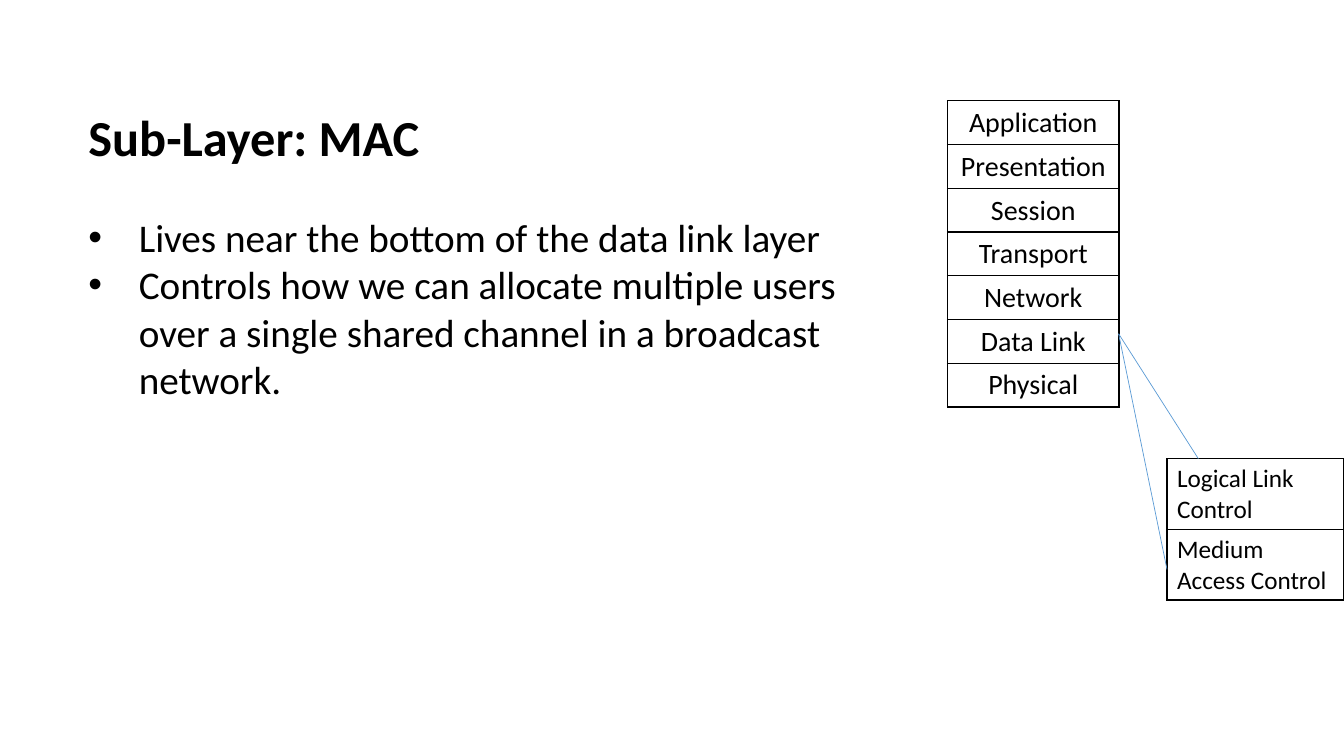
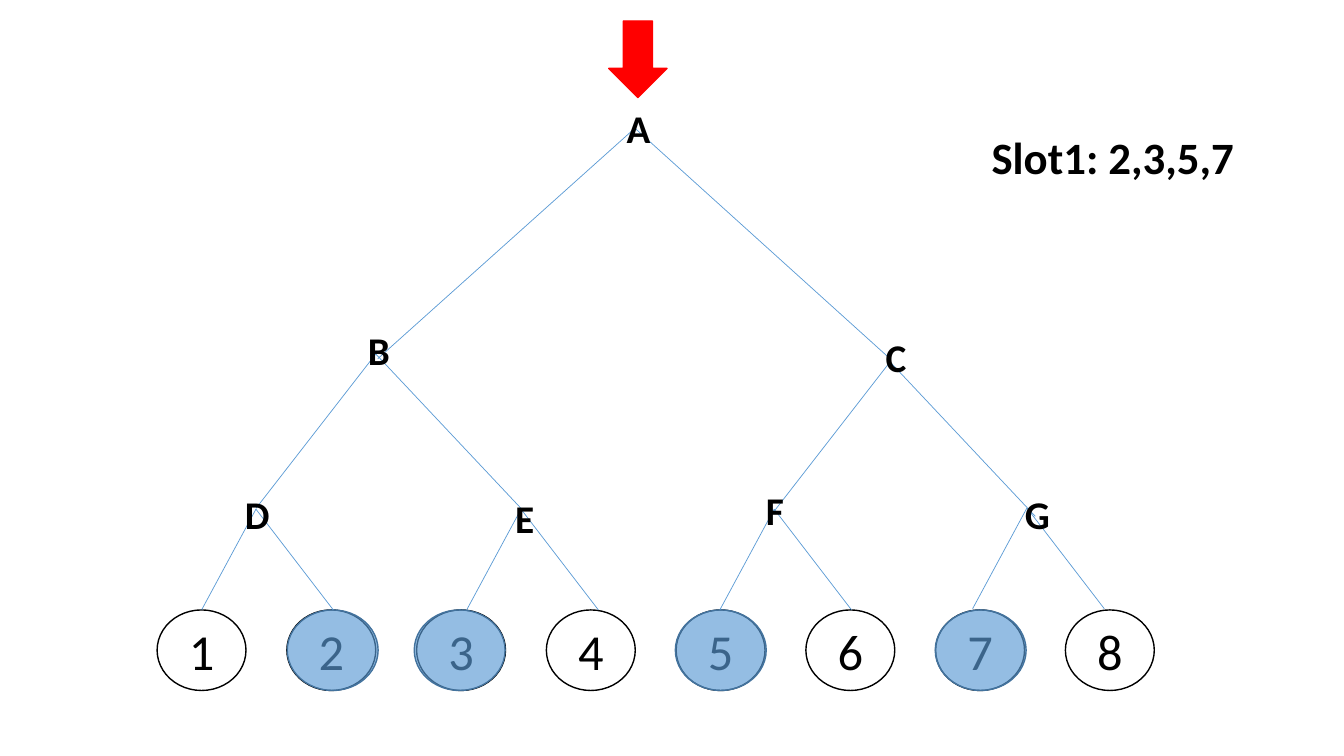
from lxml.etree import SubElement
from pptx import Presentation
from pptx.dml.color import RGBColor
from pptx.enum.shapes import MSO_CONNECTOR as LINE, MSO_SHAPE as SHAPE
from pptx.enum.text import MSO_ANCHOR as ANCHOR, PP_ALIGN as ALIGN
from pptx.oxml import parse_xml
from pptx.oxml.ns import nsdecls, qn
from pptx.util import Cm, Pt

rgb = RGBColor.from_string
BLACK, WHITE, RED = "000000", "FFFFFF", "FF0000"
BLUE, DARK_BLUE = "5B9BD5", "43739E"
FONT = "Calibri"


def write(frame, text, size, bold=False, align=ALIGN.LEFT):
    frame.word_wrap = True
    frame.text = text
    for para in frame.paragraphs:
        para.alignment = align
        for span in para.runs:
            span.font.name = FONT
            span.font.size = Pt(size)
            span.font.bold = bold
            span.font.color.rgb = rgb(BLACK)


def add_line(page, x1, y1, x2, y2):
    line = page.shapes.add_connector(LINE.STRAIGHT, Cm(x1), Cm(y1), Cm(x2), Cm(y2))
    line.line.color.rgb = rgb(BLUE)
    line.line.width = Pt(0.5)
    SubElement(line._element.spPr, qn("a:effectLst"))


deck = Presentation()
deck.slide_width, deck.slide_height = Cm(33.87), Cm(19.05)
blank = deck.slide_layouts[6]

# Slide 1: the MAC sub-layer
page = deck.slides.add_slide(blank)
title = page.shapes.add_textbox(Cm(1.98), Cm(2.54), Cm(12.65), Cm(1.8))
write(title.text_frame, "Sub-Layer: MAC", 36, bold=True)

body = page.shapes.add_textbox(Cm(1.98), Cm(5.26), Cm(21.08), Cm(6.25))
points = [
    "Lives near the bottom of the data link layer",
    "Controls how we can allocate multiple users over a single shared channel "
    "in a broadcast network.",
]
write(body.text_frame, "\n".join(points), 28)
for para in body.text_frame.paragraphs:
    props = para._p.get_or_add_pPr()
    props.set("marL", str(Cm(1.27)))
    props.set("indent", str(-Cm(1.27)))
    SubElement(props, qn("a:buFont"), typeface="Arial")
    SubElement(props, qn("a:buChar"), char="•")

# Layer stack and the two parts of the data link layer
layers = ["Application", "Presentation", "Session", "Transport", "Network",
          "Data Link", "Physical"]
sublayers = ["Logical Link Control", "Medium Access Control"]
tables = [
    (layers, 23.88, 2.54, 4.32, 1.1, 20, ALIGN.CENTER),
    (sublayers, 29.41, 11.56, 4.46, 1.78, 18, ALIGN.LEFT),
]
for names, left, top, width, row_height, size, align in tables:
    table = page.shapes.add_table(len(names), 1, Cm(left), Cm(top), Cm(width),
                                  Cm(row_height * len(names))).table
    table.first_row = table.horz_banding = False
    for row, name in zip(table.rows, names):
        row.height = Cm(row_height)
        cell = row.cells[0]
        write(cell.text_frame, name, size, align=align)
        cell.fill.background()
        props = cell._tc.get_or_add_tcPr()
        for place, side in enumerate(["lnL", "lnR", "lnT", "lnB"]):
            props.insert(place, parse_xml(
                f'<a:{side} {nsdecls("a")} w="{Pt(1)}"><a:solidFill>'
                f'<a:srgbClr val="{BLACK}"/></a:solidFill></a:{side}>'))

for x, y in [(30.2, 11.56), (29.41, 14.35)]:
    add_line(page, 28.19, 8.41, x, y)

# Slide 2: the adaptive tree walk
page = deck.slides.add_slide(blank)
LEAF_TOP, LEAF_HEIGHT = 15.37, 2.03
stations = [(SHAPE.OVAL, 3.96 + 3.27 * i, LEAF_TOP, 2.24, LEAF_HEIGHT, WHITE, BLACK, str(i + 1))
            for i in range(8)]
senders = [(SHAPE.OVAL, left, LEAF_TOP, 2.29, LEAF_HEIGHT, BLUE, DARK_BLUE, "")
           for left in (7.24, 10.44, 17.02, 23.57)]
arrow = (SHAPE.DOWN_ARROW, 15.34, 0.53, 1.47, 1.93, RED, RED, "")
for kind, left, top, width, height, fill, edge, text in [*stations, *senders, arrow]:
    shape = page.shapes.add_shape(kind, Cm(left), Cm(top), Cm(width), Cm(height))
    shape.shadow.inherit = False
    shape.fill.solid()
    shape.fill.fore_color.rgb = rgb(fill)
    shape.line.color.rgb = rgb(edge)
    shape.line.width = Pt(1)
    if fill == BLUE:
        colour = shape._element.spPr.find(qn("a:solidFill"))[0]
        SubElement(colour, qn("a:alpha"), val="65000")
    if text:
        shape.text_frame.vertical_anchor = ANCHOR.MIDDLE
        write(shape.text_frame, text, 36, align=ALIGN.CENTER)

# Branches, level by level: reach to the left and right, drop, joints
levels = [
    (1.37, 1.95, 2.54, [(6.45, 12.83), (13.13, 12.83), (19.51, 12.83), (25.88, 12.8)]),
    (3.02, 3.66, 3.89, [(9.47, 8.92), (22.43, 9.12)]),
    (6.48, 6.43, 5.81, [(16, 3.23)]),
]
for reach_left, reach_right, drop, joints in levels:
    for x, y in joints:
        add_line(page, x - reach_left, y + drop, x, y)
        add_line(page, x + reach_right, y + drop, x, y)

# Node letters and the slot heading
labels = [("A", 15.54, 2.51), ("B", 9.02, 8.1), ("C", 22.07, 8.28), ("D", 5.92, 12.24),
          ("E", 12.73, 12.32), ("F", 19.05, 12.14), ("G", 25.58, 12.24)]
for letter, left, top in labels:
    box = page.shapes.add_textbox(Cm(left), Cm(top), Cm(1.04), Cm(1.45))
    write(box.text_frame, letter, 28, bold=True)

slot = page.shapes.add_textbox(Cm(24.74), Cm(3.15), Cm(7.29), Cm(1.63))
write(slot.text_frame, "Slot1: 2,3,5,7", 32, bold=True)

deck.save("out.pptx")
